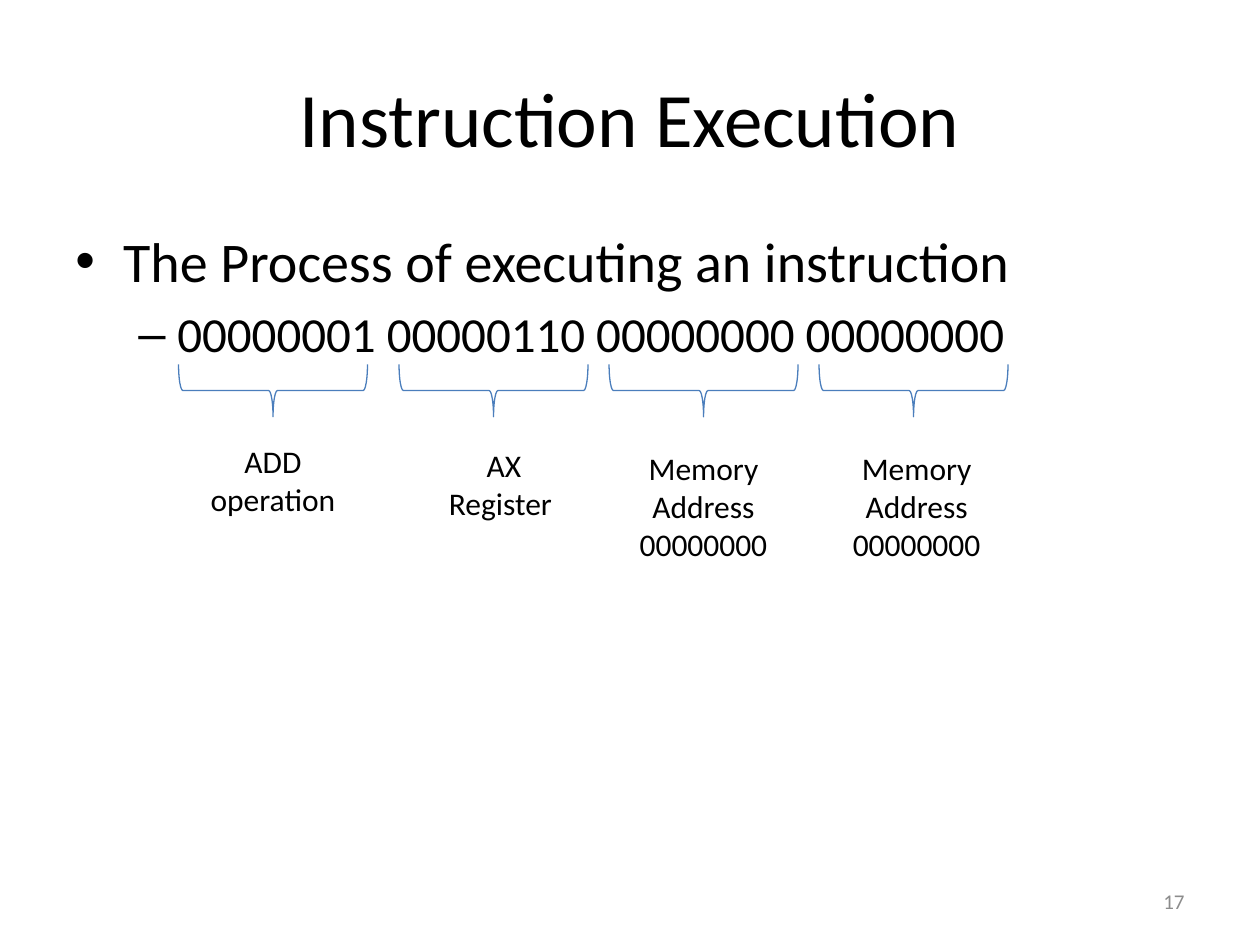
from dataclasses import dataclass

from lxml import etree
from pptx import Presentation
from pptx.dml.color import RGBColor
from pptx.enum.shapes import MSO_SHAPE
from pptx.enum.text import MSO_ANCHOR, MSO_AUTO_SIZE, PP_ALIGN
from pptx.oxml.ns import qn
from pptx.util import Inches, Length, Pt

BRACE = MSO_SHAPE.RIGHT_BRACE
TOP, MIDDLE = MSO_ANCHOR.TOP, MSO_ANCHOR.MIDDLE
LEFT, CENTER, RIGHT = PP_ALIGN.LEFT, PP_ALIGN.CENTER, PP_ALIGN.RIGHT
GROW = MSO_AUTO_SIZE.SHAPE_TO_FIT_TEXT

COLORS = {"text": "000000", "brace": "4B7EBC", "number": "8C8C8C"}
FONT = "Calibri"
COLUMNS = 120  # the slide is a grid of 120 by 90 square cells
SLIDE_WIDTH, SLIDE_HEIGHT = Inches(10), Inches(7.5)
BRACE_TOP, BRACE_WIDTH, BRACE_DEPTH = 34.7, 18, 5


@dataclass(frozen=True)
class Box:
    """A rectangle in grid cells."""
    left: float
    top: float
    width: float
    height: float


@dataclass(frozen=True)
class Line:
    text: str
    size: float
    align: PP_ALIGN = LEFT
    color: str = "text"
    bullet: str = ""
    indent: float = 0
    hanging: float = 0


@dataclass(frozen=True)
class InstructionByte:
    brace_left: float
    meaning: str
    label: Box


BODY = [
    Line("The Process of executing an instruction", 32,
         bullet="•", indent=0.38, hanging=0.38),
    Line("00000001 00000110 00000000 00000000", 28,
         bullet="–", indent=0.81, hanging=0.31),
]
INSTRUCTION = [
    InstructionByte(17, "ADD operation", Box(17, 41.5, 18, 8.5)),
    InstructionByte(38, "AX\vRegister ", Box(40, 41.9, 16, 8.5)),
    InstructionByte(58, "Memory Address 00000000", Box(59, 42.2, 16, 12.1)),
    InstructionByte(78, "Memory Address 00000000", Box(79.3, 42.2, 16, 12.1)),
]


def cells(count: float) -> Length:
    return Length(round(SLIDE_WIDTH * count / COLUMNS))


def place(box: Box) -> tuple[Length, ...]:
    return tuple(cells(n) for n in (box.left, box.top, box.width, box.height))


def add_bullet(paragraph, line: Line) -> None:
    properties = paragraph._p.get_or_add_pPr()
    properties.set("marL", str(Inches(line.indent)))
    properties.set("indent", str(-Inches(line.hanging)))
    font = etree.SubElement(properties, qn("a:buFont"))
    font.set("typeface", "Arial")
    etree.SubElement(properties, qn("a:buChar")).set("char", line.bullet)


def add_text(slide, box: Box, lines: list[Line], anchor=TOP, grow=False) -> None:
    frame = slide.shapes.add_textbox(*place(box)).text_frame
    frame.word_wrap = True
    frame.vertical_anchor = anchor
    if grow:
        frame.auto_size = GROW
    for index, line in enumerate(lines):
        paragraph = frame.add_paragraph() if index else frame.paragraphs[0]
        paragraph.text = line.text
        paragraph.alignment = line.align
        paragraph.font.name = FONT
        paragraph.font.size = Pt(line.size)
        paragraph.font.color.rgb = RGBColor.from_string(COLORS[line.color])
        if line.bullet:
            paragraph.space_before = Pt(line.size * 0.2)
            add_bullet(paragraph, line)


def add_brace(slide, left: float) -> None:
    """Draw a brace that opens upwards, by turning a right brace."""
    shift = (BRACE_WIDTH - BRACE_DEPTH) / 2
    upright = Box(left + shift, BRACE_TOP - shift, BRACE_DEPTH, BRACE_WIDTH)
    brace = slide.shapes.add_shape(BRACE, *place(upright))
    brace.rotation = 90
    brace.shadow.inherit = False
    brace.fill.background()
    brace.line.color.rgb = RGBColor.from_string(COLORS["brace"])
    brace.line.width = Pt(0.75)


def main() -> None:
    deck = Presentation()
    deck.slide_width, deck.slide_height = SLIDE_WIDTH, SLIDE_HEIGHT
    slide = deck.slides.add_slide(deck.slide_layouts[6])

    add_text(slide, Box(6, 3.6, 108, 15),
             [Line("Instruction Execution", 44, CENTER)], MIDDLE)
    add_text(slide, Box(6, 21, 108, 59.4), BODY)
    for part in INSTRUCTION:
        add_brace(slide, part.brace_left)
        add_text(slide, part.label, [Line(part.meaning, 18, CENTER)], grow=True)
    add_text(slide, Box(86, 83.4, 28, 4.8),
             [Line("17", 12, RIGHT, "number")], MIDDLE)

    deck.save("out.pptx")


if __name__ == "__main__":
    main()
